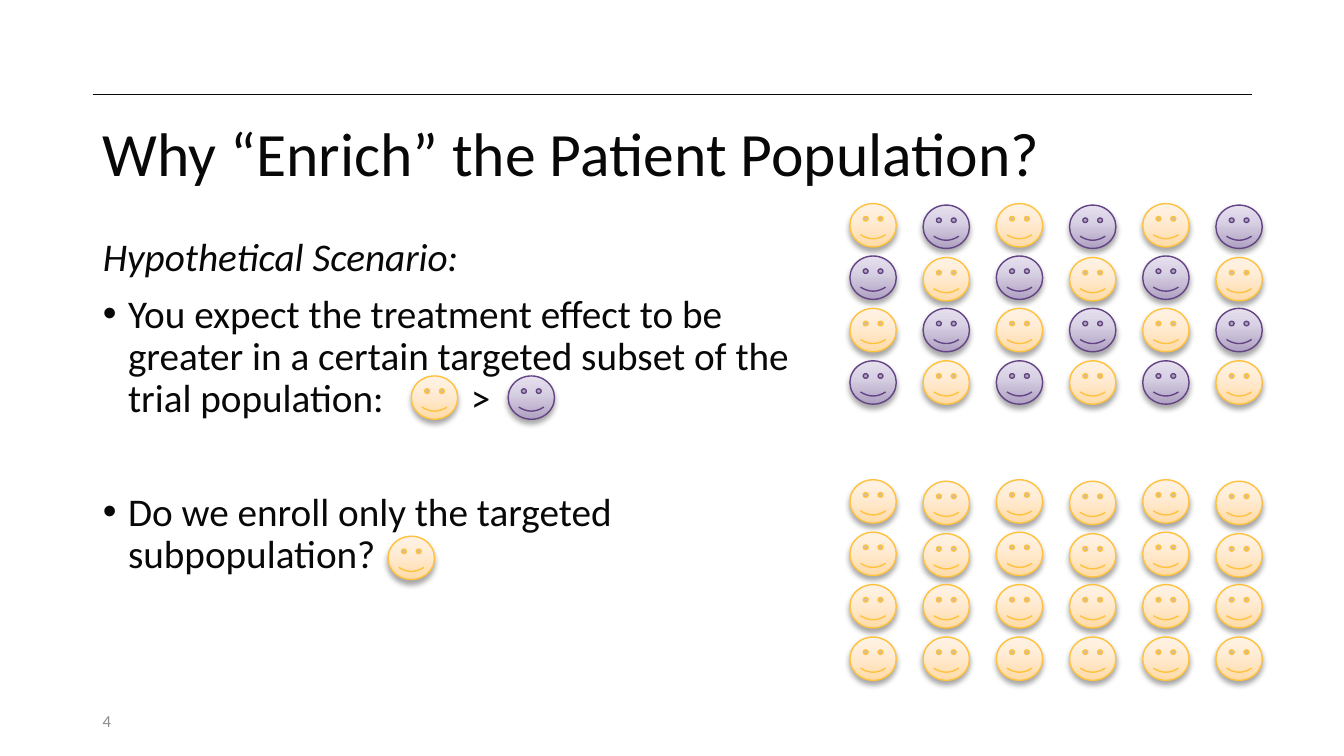
"""Build the slide on enriching a patient population."""
from pptx import Presentation, oxml
from pptx.dml.color import RGBColor
from pptx.enum import shapes, text
from pptx.oxml import ns
from pptx.util import Inches, Pt

COLORS = {"ink": "080808", "number": "8C8C8C", "shadow": "000000"}
FACES = {
    "targeted": {"line": "FFC23E", "stops": ("FFDBA7", "FFEDD8", "FFF2E4")},
    "other": {"line": "654486", "stops": ("AFA1C2", "DAD3E5", "E5DFEE")},
}

deck = Presentation()
deck.slide_width, deck.slide_height = Inches(13.33), Inches(7.5)
page = deck.slides.add_slide(deck.slide_layouts[1])


def write(para, words, size=28, color="ink", italic=False, spacing=None, before=0):
    para.alignment = text.PP_ALIGN.LEFT
    para.line_spacing = spacing
    para.space_before = Pt(before)
    span = para.add_run()
    span.text = words
    span.font.name = "Calibri"
    span.font.size = Pt(size)
    span.font.italic = italic
    span.font.color.rgb = RGBColor.from_string(COLORS[color])


def add_face(left, top, kind):
    face = page.shapes.add_shape(
        shapes.MSO_SHAPE.SMILEY_FACE, Inches(left), Inches(top), Inches(0.46), Inches(0.43))
    look = FACES[kind]
    face.line.color.rgb = RGBColor.from_string(look["line"])
    face.line.width = Pt(1)
    stops = "".join(
        f'<a:gs pos="{place * 1000}"><a:srgbClr val="{tone}"/></a:gs>'
        for place, tone in zip((0, 65, 100), look["stops"]))
    outline = face._element.spPr.find(ns.qn("a:ln"))
    outline.addprevious(oxml.parse_xml(
        f'<a:gradFill {ns.nsdecls("a")} rotWithShape="1"><a:gsLst>{stops}</a:gsLst>'
        '<a:lin ang="16200000" scaled="0"/></a:gradFill>'))
    outline.addnext(oxml.parse_xml(
        f'<a:effectLst {ns.nsdecls("a")}><a:outerShdw blurRad="{Pt(4)}" dist="{Pt(3)}" '
        f'dir="5400000" rotWithShape="0"><a:srgbClr val="{COLORS["shadow"]}">'
        '<a:alpha val="35000"/></a:srgbClr></a:outerShdw></a:effectLst>'))


rule = page.shapes.add_connector(
    shapes.MSO_CONNECTOR.STRAIGHT, Inches(0.92), Inches(0.94), Inches(12.42), Inches(0.94))
rule.line.color.rgb = RGBColor.from_string(COLORS["ink"])
rule.line.width = Pt(1)
rule._element.spPr.append(oxml.parse_xml(f'<a:effectLst {ns.nsdecls("a")}/>'))

title, body = page.placeholders
number = page.shapes.add_textbox(0, 0, 0, 0)
for box, top, width, height, anchor in (
    (title, 1, 11.5, 1.11, text.MSO_ANCHOR.MIDDLE),
    (body, 2.31, 7.51, 4.44, text.MSO_ANCHOR.TOP),
    (number, 6.95, 3, 0.4, text.MSO_ANCHOR.MIDDLE),
):
    box.left, box.top = Inches(0.92), Inches(top)
    box.width, box.height = Inches(width), Inches(height)
    box.text_frame.word_wrap = True
    box.text_frame.auto_size = text.MSO_AUTO_SIZE.NONE
    box.text_frame.vertical_anchor = anchor

write(title.text_frame.paragraphs[0], "Why “Enrich” the Patient Population?", size=44, spacing=0.9)
write(number.text_frame.paragraphs[0], "4", size=12, color="number")

heading = body.text_frame.paragraphs[0]
write(heading, "Hypothetical Scenario:", italic=True, spacing=0.9, before=10)
heading_format = heading._p.get_or_add_pPr()
heading_format.set("marL", "0")
heading_format.set("indent", "0")
heading_format.append(oxml.parse_xml(f'<a:buNone {ns.nsdecls("a")}/>'))

for words, before in (
    ("You expect the treatment effect to be greater in a certain targeted subset "
     "of the trial population:\t>", 10),
    ("Do we enroll only the targeted subpopulation?", 51),
):
    para = body.text_frame.add_paragraph()
    write(para, words, spacing=0.9, before=before)
    bullet_format = para._p.get_or_add_pPr()
    bullet_format.set("marL", str(Inches(0.25)))
    bullet_format.set("indent", str(Inches(-0.25)))
    for part in (
        f'<a:buFont {ns.nsdecls("a")} typeface="Arial"/>',
        f'<a:buChar {ns.nsdecls("a")} char="•"/>',
        f'<a:tabLst {ns.nsdecls("a")}><a:tab pos="{Inches(3.65)}" algn="l"/></a:tabLst>',
    ):
        bullet_format.append(oxml.parse_xml(part))

for grid_top, second_kind in ((2.02, "other"), (4.76, "targeted")):
    for column in range(6):
        for row in range(4):
            kind = second_kind if (row + column) % 2 else "targeted"
            drop = 0.015 if column % 2 and row < 2 else 0
            add_face(8.43 + 0.726 * column, grid_top + 0.52 * row + drop, kind)

for left, top, kind in ((4.08, 3.73, "targeted"), (5.04, 3.73, "other"), (3.85, 5.32, "targeted")):
    add_face(left, top, kind)

deck.save("out.pptx")
